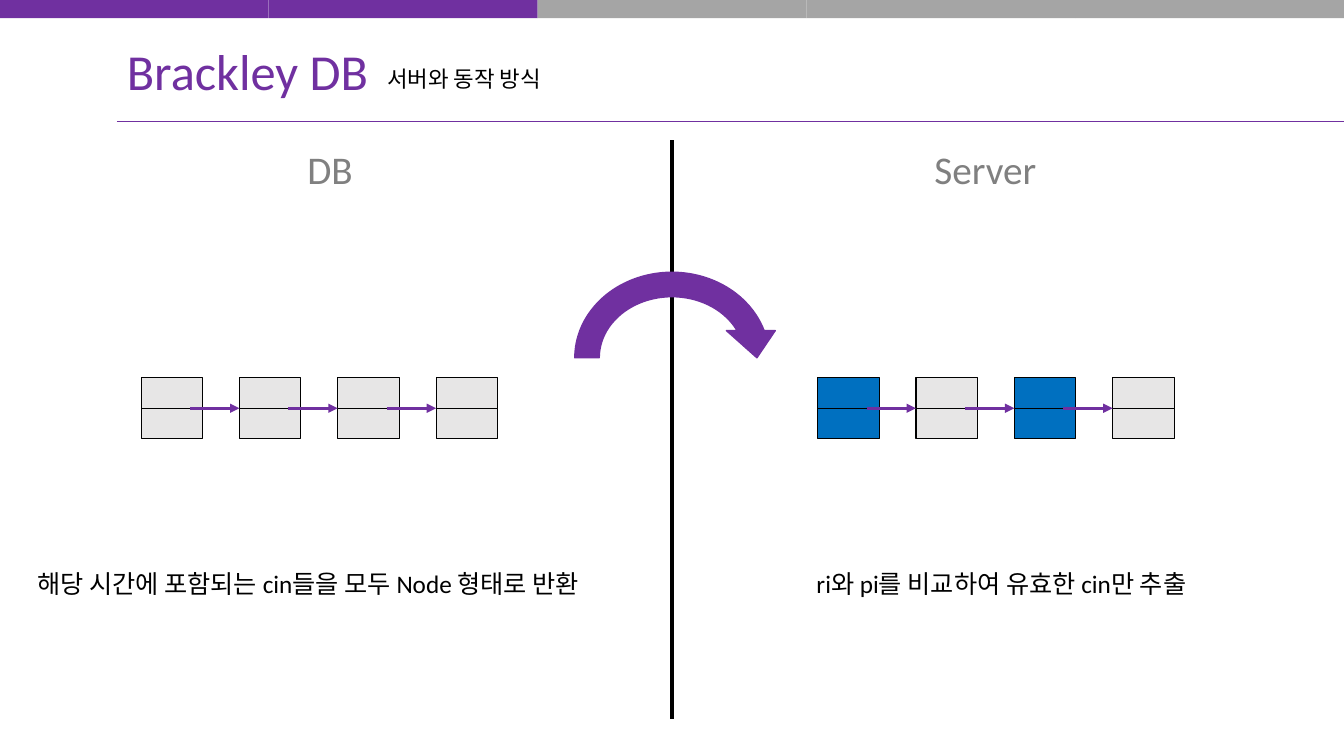
from dataclasses import dataclass

from lxml.etree import SubElement
from pptx import Presentation
from pptx.dml.color import RGBColor as RGB
from pptx.enum.shapes import MSO_CONNECTOR as CONNECTOR, MSO_SHAPE as SHAPE
from pptx.oxml.ns import qn
from pptx.util import Inches, Pt


@dataclass(frozen=True)
class Theme:
    """Colours, font and type sizes of the slide."""
    purple: str = "7030A0"
    gray: str = "A5A5A5"
    light: str = "E7E6E6"
    blue: str = "0070C0"
    heading: str = "808080"
    black: str = "000000"
    font: str = "Calibri"
    title_size: int = 36
    heading_size: int = 28
    body_size: int = 18
    subtitle_size: int = 16


THEME = Theme()
SLIDE_WIDTH, SLIDE_HEIGHT = 13.33, 7.5
NODE_WIDTH, CELL_HEIGHT, NODE_STEP = 0.61, 0.3, 0.975
NODE_TOP, ARROW_LENGTH = 3.75, 0.49


def add_text(slide, text, left, top, width, height, *, size=THEME.body_size,
             color=THEME.black, wrap=True):
    """Add a one-paragraph text box."""
    box = slide.shapes.add_textbox(*map(Inches, (left, top, width, height)))
    box.text_frame.word_wrap = wrap
    run = box.text_frame.paragraphs[0].add_run()
    run.text = text
    run.font.name = THEME.font
    run.font.size = Pt(size)
    run.font.color.rgb = RGB.from_string(color)


def add_block(shapes, kind, left, top, width, height, fill, line=None, weight=0.75):
    """Add a filled preset shape, outlined only when a line colour is given."""
    block = shapes.add_shape(kind, *map(Inches, (left, top, width, height)))
    block.shadow.inherit = False
    block.fill.solid()
    block.fill.fore_color.rgb = RGB.from_string(fill)
    if line:
        block.line.color.rgb = RGB.from_string(line)
        block.line.width = Pt(weight)
    else:
        block.line.fill.background()


def add_line(slide, start, end, color, weight, arrow=False):
    """Add a straight line, with an arrowhead at its end on request."""
    rule = slide.shapes.add_connector(
        CONNECTOR.STRAIGHT, *map(Inches, (*start, *end)))
    rule.line.color.rgb = RGB.from_string(color)
    rule.line.width = Pt(weight)
    if arrow:
        SubElement(rule.line._get_or_add_ln(), qn("a:tailEnd"), type="triangle")
    SubElement(rule._element.spPr, qn("a:effectLst"))


def add_top_bar(slide):
    """Add the five-part strip along the top edge."""
    segments = [THEME.purple] * 2 + [THEME.gray] * 3
    width = SLIDE_WIDTH / len(segments)
    for index, color in enumerate(segments):
        add_block(slide.shapes, SHAPE.RECTANGLE, index * width, 0, width, 0.18, color)


def add_node_list(slide, left, fills):
    """Add a linked list of two-cell nodes joined by arrows."""
    middle = NODE_TOP + CELL_HEIGHT
    starts = [left + index * NODE_STEP for index in range(len(fills))]
    for node_left, fill in zip(starts, fills):
        node = slide.shapes.add_group_shape()
        for cell_top in (NODE_TOP, middle):
            add_block(node.shapes, SHAPE.RECTANGLE, node_left, cell_top,
                      NODE_WIDTH, CELL_HEIGHT, fill, THEME.black)
    for target in starts[1:]:
        add_line(slide, (target - ARROW_LENGTH, middle), (target, middle),
                 THEME.purple, 2.25, arrow=True)


def add_header(slide):
    """Add the title, its subtitle and the rule below them."""
    add_text(slide, "Brackley DB", 1.16, 0.35, 2.75, 0.71,
             size=THEME.title_size, color=THEME.purple, wrap=False)
    add_line(slide, (1.16, 1.2), (SLIDE_WIDTH, 1.2), THEME.purple, 0.5)
    add_text(slide, "서버와 동작 방식", 3.74, 0.6, 9.18, 0.37,
             size=THEME.subtitle_size)


def main():
    """Build the slide and save it."""
    deck = Presentation()
    deck.slide_width, deck.slide_height = Inches(SLIDE_WIDTH), Inches(SLIDE_HEIGHT)
    slide = deck.slides.add_slide(deck.slide_layouts[6])

    add_top_bar(slide)
    add_header(slide)
    add_node_list(slide, 1.4, [THEME.light] * 4)
    add_node_list(slide, 8.11, [THEME.blue, THEME.light] * 2)

    center = SLIDE_WIDTH / 2
    add_line(slide, (center, 1.39), (center, 7.13), THEME.black, 2.25)
    for heading, left in (("DB", 2.95), ("Server", 9.17)):
        add_text(slide, heading, left, 1.39, 2.27, 0.57,
                 size=THEME.heading_size, color=THEME.heading)
    add_block(slide.shapes, SHAPE.CIRCULAR_ARROW, 5.58, 2.58, 2.17, 1.94,
              THEME.purple, THEME.purple, weight=1)
    for caption, left, width in (
            ("해당 시간에 포함되는 cin들을 모두 Node 형태로 반환", 0.27, 6.63),
            ("ri와 pi를 비교하여 유효한 cin만 추출", 8, 5.17)):
        add_text(slide, caption, left, 5.59, width, 0.4)

    deck.save("out.pptx")


main()
